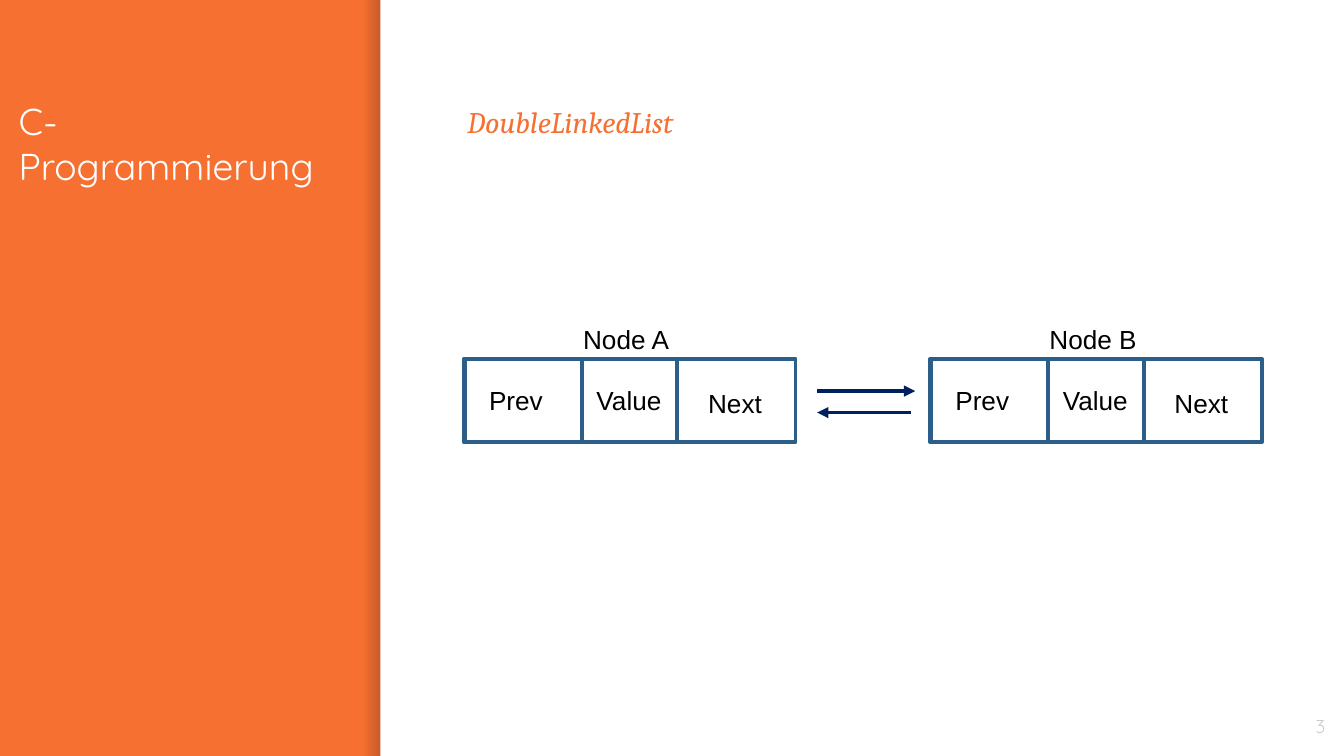
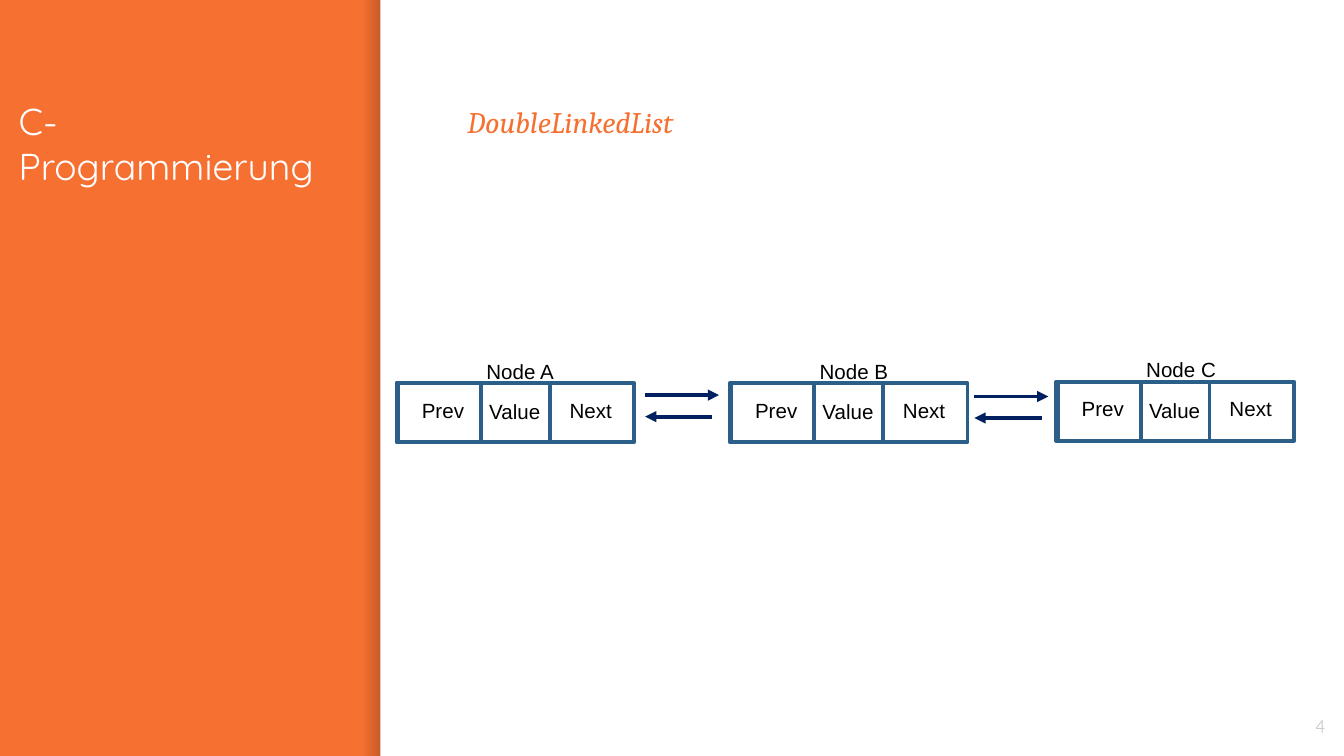
from lxml import etree
from pptx import Presentation
from pptx.dml.color import RGBColor
from pptx.enum.shapes import MSO_CONNECTOR, MSO_SHAPE
from pptx.enum.text import MSO_ANCHOR, MSO_AUTO_SIZE, PP_ALIGN
from pptx.oxml.ns import qn
from pptx.util import Inches, Pt

ORANGE = RGBColor(0xF6, 0x70, 0x31)
WHITE = RGBColor(0xFF, 0xFF, 0xFF)
BLACK = RGBColor(0, 0, 0)
SHADE = RGBColor(0, 0, 0x14)
GREY = RGBColor(0xCC, 0xCC, 0xCC)
BOX_BLUE = RGBColor(0x2B, 0x5F, 0x8A)
ARROW_BLUE = RGBColor(0, 0x20, 0x60)

# Widescreen page, 16:9
PAGE_WIDTH = 10
PAGE_HEIGHT = PAGE_WIDTH * 9 / 16
BAND_WIDTH = 2.83
EDGE_LEFT = 2.7

# Content
TITLE = "C-Programmierung"
TOPIC = "DoubleLinkedList"

# Parts of a node, as left, top, width, height from its corner
LARGE_NODE = {
    "size": 14,
    "body": (0, 0, 1.58, 0.62), "next_box": (1.58, 0, 0.88, 0.62),
    "prev_box": (-0.01, 0, 0.88, 0.62),
    "Value": (0.73, 0.14, 0.98, 0.34), "Next": (1.71, 0.16, 0.98, 0.3),
    "name": (0.78, -0.31, 1.11, 0.3), "Prev": (0.08, 0.14, 0.98, 0.34),
}
SMALL_NODE = {
    "size": 11,
    "body": (0, 0, 1.13, 0.44), "next_box": (1.13, 0, 0.63, 0.44),
    "prev_box": (-0.01, 0, 0.63, 0.44),
    "Value": (0.52, 0.07, 0.7, 0.29), "Next": (1.18, 0.06, 0.7, 0.29),
    "name": (0.56, -0.23, 0.79, 0.29), "Prev": (0.08, 0.06, 0.7, 0.29),
}

# Nodes: name, left, top. Links: left, top, forward length, backward length
SLIDES = [
    {"number": "3", "parts": LARGE_NODE,
     "nodes": [("Node A", 3.46, 2.67), ("Node B", 6.93, 2.67)],
     "links": [(6.08, 2.91, 0.73, 0.7)]},
    {"number": "4", "parts": SMALL_NODE,
     "nodes": [("Node A", 2.96, 2.85), ("Node B", 5.44, 2.85),
               ("Node C", 7.87, 2.84)],
     "links": [(4.8, 2.94, 0.55, 0.5), (7.25, 2.95, 0.55, 0.5)]},
]
LINK_GAP = 0.16

TITLE_FONT = {"name": "Quicksand", "size": Pt(20)}
TOPIC_FONT = {"name": "Cambria", "size": Pt(16), "italic": True}
NUMBER_FONT = {"name": "Quicksand", "size": Pt(10)}


def inches(*lengths):
    return [Inches(length) for length in lengths]


def add_text(shapes, text, area, font, color, inset=None, grow=False,
             align=PP_ALIGN.LEFT, anchor=MSO_ANCHOR.TOP):
    frame = shapes.add_textbox(*inches(*area)).text_frame
    frame.word_wrap = True
    frame.vertical_anchor = anchor
    if grow:
        frame.auto_size = MSO_AUTO_SIZE.SHAPE_TO_FIT_TEXT
    if inset is not None:
        for side in ("left", "top", "right", "bottom"):
            setattr(frame, f"margin_{side}", Inches(inset))
    paragraph = frame.paragraphs[0]
    paragraph.alignment = align
    run = paragraph.add_run()
    run.text = text
    for key, value in font.items():
        setattr(run.font, key, value)
    run.font.color.rgb = color
    return paragraph


def add_rect(shapes, area):
    rect = shapes.add_shape(MSO_SHAPE.RECTANGLE, *inches(*area))
    rect.shadow.inherit = False
    return rect


def add_box(shapes, area):
    box = add_rect(shapes, area)
    box.fill.background()
    box.line.color.rgb = BOX_BLUE
    box.line.width = Pt(2)


def add_arrow(shapes, start, end):
    arrow = shapes.add_connector(MSO_CONNECTOR.STRAIGHT,
                                 *inches(*start, *end))
    arrow.line.color.rgb = ARROW_BLUE
    arrow.line.width = Pt(2)
    line = arrow.line._get_or_add_ln()
    etree.SubElement(line, qn("a:tailEnd"), type="triangle")
    etree.SubElement(arrow._element.spPr, qn("a:effectLst"))


def add_frame(slide, number):
    slide.background.fill.solid()
    slide.background.fill.fore_color.rgb = ORANGE

    # Shadow at the edge of the orange band, darker to the right
    edge = add_rect(slide.shapes,
                    (EDGE_LEFT, 0, BAND_WIDTH - EDGE_LEFT, PAGE_HEIGHT))
    edge.line.fill.background()
    edge.fill.gradient()
    edge.fill.gradient_angle = 0
    for stop, alpha in zip(edge.fill.gradient_stops, ("0", "20000")):
        stop.color.rgb = SHADE
        color = stop._gs.find(qn("a:srgbClr"))
        etree.SubElement(color, qn("a:alpha"), val=alpha)

    # White content area
    page = add_rect(slide.shapes,
                    (BAND_WIDTH, 0, PAGE_WIDTH - BAND_WIDTH, PAGE_HEIGHT))
    page.fill.solid()
    page.fill.fore_color.rgb = WHITE
    page.line.fill.background()

    # Number, title and topic
    add_text(slide.shapes, number, (9.36, 5.19, 0.6, 0.43), NUMBER_FONT, GREY,
             inset=0.1, align=PP_ALIGN.RIGHT, anchor=MSO_ANCHOR.MIDDLE)
    add_text(slide.shapes, TITLE, (0.04, 0.63, 2.68, 4.35), TITLE_FONT, WHITE,
             inset=0.1)
    topic = add_text(slide.shapes, TOPIC, (3.38, 0.63, 6.12, 1.32),
                     TOPIC_FONT, ORANGE, inset=0.1)
    topic.line_spacing = 1.15
    topic.space_before = Pt(6)


def add_node(slide, parts, name, left, top):
    font = {"name": "Arial", "size": Pt(parts["size"])}

    def place(part):
        x, y, width, height = parts[part]
        return left + x, top + y, width, height

    def label(shapes, text, part, align=PP_ALIGN.LEFT):
        add_text(shapes, text, place(part), font, BLACK, grow=True,
                 align=align)

    group = slide.shapes.add_group_shape().shapes
    add_box(group, place("body"))
    add_box(group, place("next_box"))
    label(group, "Value", "Value", PP_ALIGN.CENTER)
    label(group, "Next", "Next")
    label(group, name, "name")
    add_box(slide.shapes, place("prev_box"))
    label(slide.shapes, "Prev", "Prev")


def main():
    deck = Presentation()
    deck.slide_width, deck.slide_height = inches(PAGE_WIDTH, PAGE_HEIGHT)
    for content in SLIDES:
        slide = deck.slides.add_slide(deck.slide_layouts[6])
        add_frame(slide, content["number"])
        for node in content["nodes"]:
            add_node(slide, content["parts"], *node)
        for left, top, forward, backward in content["links"]:
            below = top + LINK_GAP
            add_arrow(slide.shapes, (left, top), (left + forward, top))
            add_arrow(slide.shapes, (left + backward, below), (left, below))
    deck.save("out.pptx")


if __name__ == "__main__":
    main()
